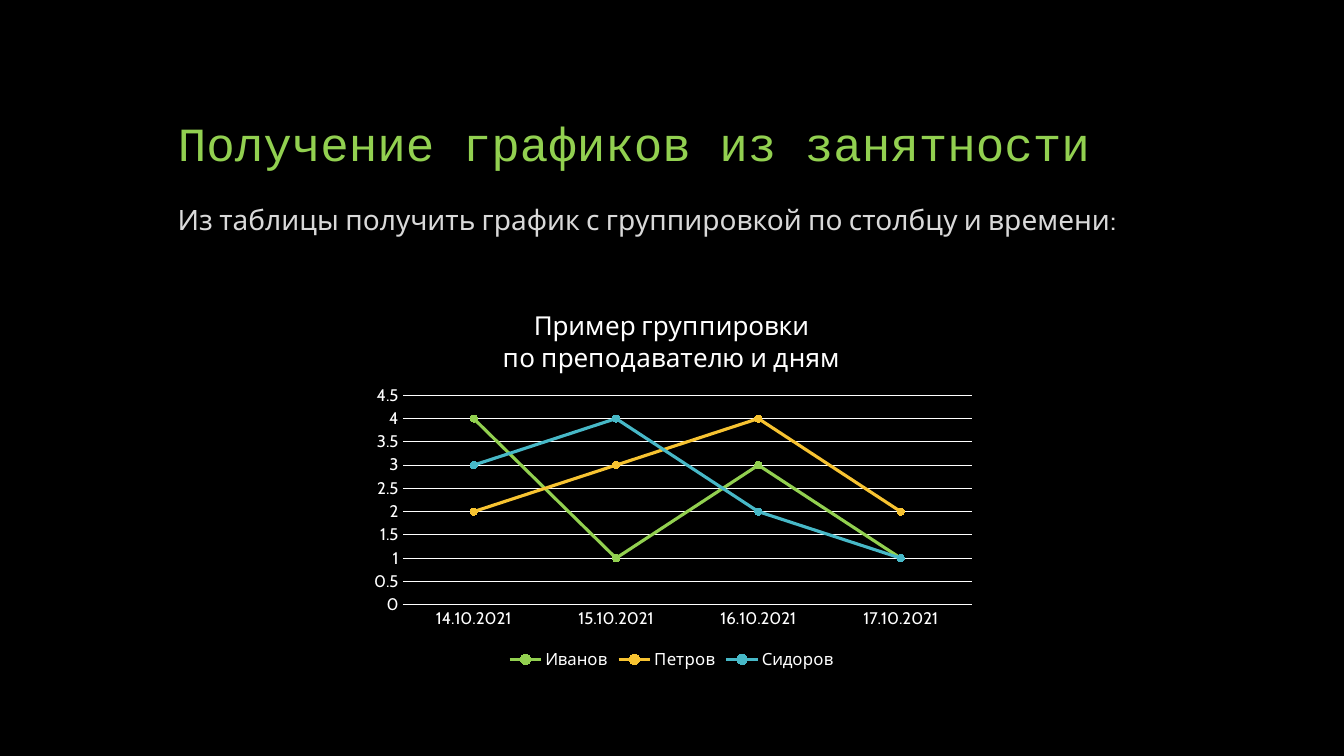
import pptx
import pptx.chart.data
import pptx.dml.color
import pptx.enum.chart
import pptx.enum.text
import pptx.util
from lxml import etree
from pptx.util import Cm, Pt

RGBColor = pptx.dml.color.RGBColor
BLACK = RGBColor(0x00, 0x00, 0x00)
WHITE = RGBColor(0xFF, 0xFF, 0xFF)
LIGHT_GRAY = RGBColor(0xD9, 0xD9, 0xD9)
GREEN = RGBColor(0x92, 0xD0, 0x50)
YELLOW = RGBColor(0xF7, 0xC3, 0x31)
TEAL = RGBColor(0x47, 0xB8, 0xC7)


def format_font(font, name, size, color):
    font.name = name
    font.size = Pt(size)
    font.bold = False
    font.color.rgb = color


def write_text(text_frame, text, name="Cabin", size=20, color=WHITE,
               line_spacing=None, space_before=None, alignment=None):
    """Write one paragraph per line of text."""
    for index, line in enumerate(text.split("\n")):
        paragraph = text_frame.add_paragraph() if index else text_frame.paragraphs[0]
        paragraph.alignment = alignment
        paragraph.line_spacing = line_spacing
        paragraph.space_before = space_before
        run = paragraph.add_run()
        run.text = line
        format_font(run.font, name, size, color)


class SlideBuilder:
    body_font = "Cabin"
    title_font = "Courier New"
    left = pptx.enum.text.PP_ALIGN.LEFT

    def __init__(self, presentation):
        self.slide = presentation.slides.add_slide(presentation.slide_layouts[5])
        fill = self.slide.background.fill
        fill.solid()
        fill.fore_color.rgb = BLACK

    def title(self, text, left, top, width, height):
        shape = self.slide.shapes.title
        shape.left, shape.top, shape.width, shape.height = left, top, width, height
        frame = shape.text_frame
        frame.word_wrap = True
        frame.vertical_anchor = pptx.enum.text.MSO_ANCHOR.BOTTOM
        write_text(frame, text, name=self.title_font, size=34, color=GREEN,
                   line_spacing=0.9, alignment=self.left)

    def text(self, text, left, top, width, height):
        frame = self.slide.shapes.add_textbox(left, top, width, height).text_frame
        frame.word_wrap = True
        write_text(frame, text, name=self.body_font, color=LIGHT_GRAY,
                   line_spacing=0.9, space_before=Pt(18), alignment=self.left)

    def line_chart(self, title, categories, series, left, top, width, height, plot_area):
        data = pptx.chart.data.CategoryChartData()
        data.categories = categories
        for name, values, _ in series:
            data.add_series(name, values)
        chart = self.slide.shapes.add_chart(
            pptx.enum.chart.XL_CHART_TYPE.LINE_MARKERS,
            left, top, width, height, data).chart
        format_font(chart.font, self.body_font, 10, WHITE)
        chart.has_title = True
        write_text(chart.chart_title.text_frame, title, name=self.body_font, size=18.6)
        chart.chart_title.include_in_layout = False

        # Legend
        chart.has_legend = True
        chart.legend.position = pptx.enum.chart.XL_LEGEND_POSITION.BOTTOM
        chart.legend.include_in_layout = False
        format_font(chart.legend.font, self.body_font, 12, WHITE)

        # Axes
        for axis in (chart.category_axis, chart.value_axis):
            axis.major_tick_mark = pptx.enum.chart.XL_TICK_MARK.NONE
            axis.minor_tick_mark = pptx.enum.chart.XL_TICK_MARK.NONE
            format_font(axis.tick_labels.font, self.body_font, 12, WHITE)
        chart.value_axis.format.line.fill.background()
        chart.value_axis.minimum_scale = 0
        chart.value_axis.maximum_scale = 4.5
        chart.value_axis.major_unit = 0.5
        for line in (chart.category_axis.format.line,
                     chart.value_axis.major_gridlines.format.line):
            line.color.rgb = WHITE
            line.width = Pt(0.75)

        # Series
        plot = chart.plots[0]
        plot.vary_by_categories = False
        for item, (_, _, color) in zip(plot.series, series):
            item.smooth = False
            item.format.line.color.rgb = color
            item.format.line.width = Pt(2.25)
            item.marker.style = pptx.enum.chart.XL_MARKER_STYLE.CIRCLE
            item.marker.size = 5
            item.marker.format.fill.solid()
            item.marker.format.fill.fore_color.rgb = color
            item.marker.format.line.color.rgb = color
        self.place_plot(chart, plot_area)

    def place_plot(self, chart, plot_area):
        """Fix the inner plot area as fractions of the chart."""
        area = chart.plots[0]._element.getparent()
        namespace = "{%s}" % area.nsmap["c"]
        for old_layout in area.findall(namespace + "layout"):
            area.remove(old_layout)
        layout = etree.Element(namespace + "layout")
        area.insert(0, layout)
        manual = etree.SubElement(layout, namespace + "manualLayout")
        settings = [("layoutTarget", "inner"), ("xMode", "edge"), ("yMode", "edge")]
        settings += zip("xywh", plot_area)
        for tag, value in settings:
            etree.SubElement(manual, namespace + tag).set("val", str(value))


def main():
    presentation = pptx.Presentation()
    presentation.slide_width = Cm(33.87)
    presentation.slide_height = Cm(19.05)
    builder = SlideBuilder(presentation)

    # Heading and introduction
    builder.title("Получение графиков из занятности",
                  Cm(4.23), Cm(1.27), Cm(25.4), Cm(3.18))
    builder.text("Из таблицы получить график с группировкой по столбцу и времени:",
                 Cm(4.23), Cm(5.08), Cm(25.4), Cm(11.85))

    # Classes per teacher and day
    builder.line_chart(
        "Пример группировки\nпо преподавателю и дням",
        [f"{day}.10.2021" for day in range(14, 18)],
        [("Иванов", (4, 1, 3, 1), GREEN),
         ("Петров", (2, 3, 4, 2), YELLOW),
         ("Сидоров", (3, 4, 2, 1), TEAL)],
        Cm(9.04), Cm(7.37), Cm(15.77), Cm(9.6),
        plot_area=(0.07, 0.27, 0.91, 0.55))

    presentation.save("out.pptx")


if __name__ == "__main__":
    main()
